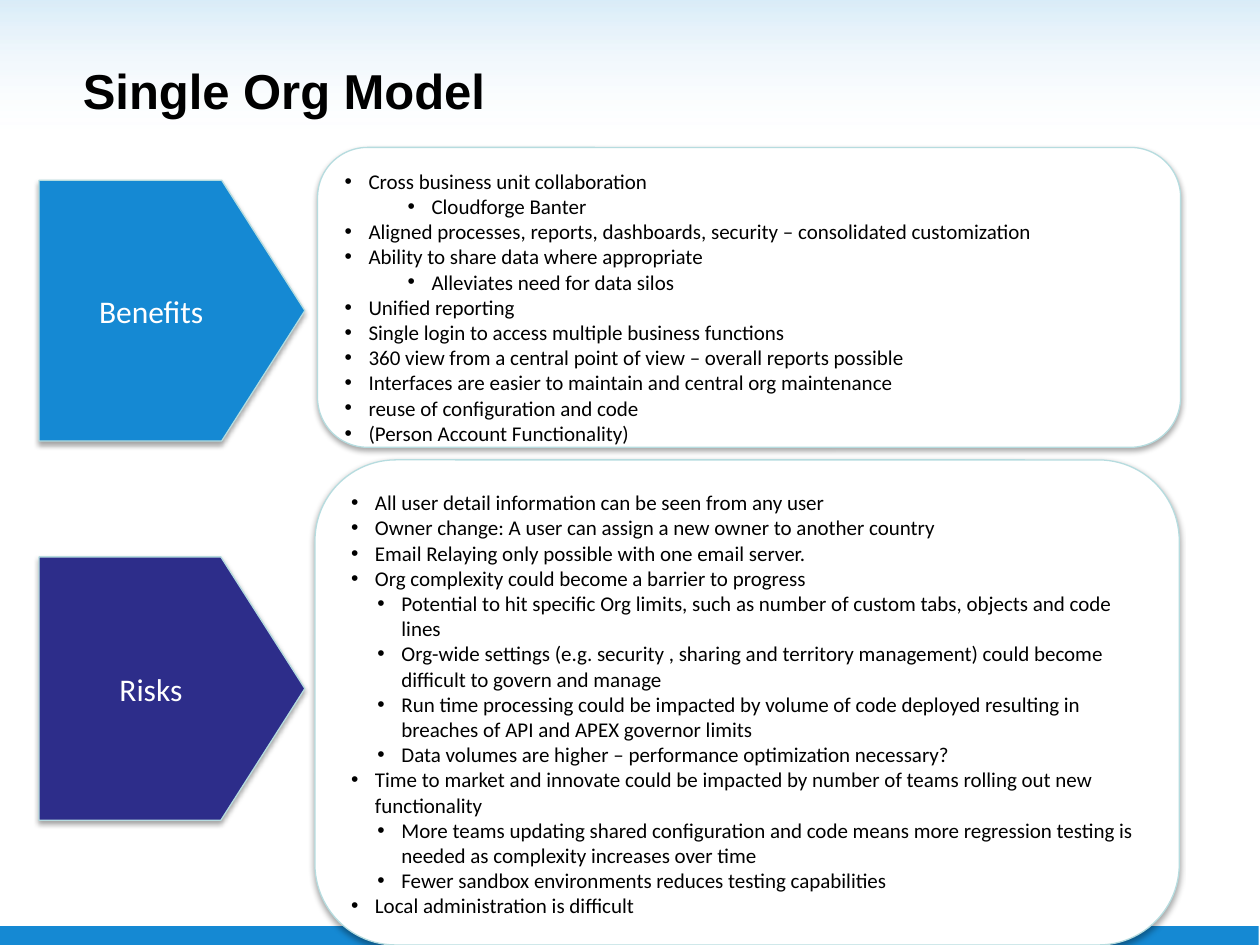
import pptx
import pptx.dml.color
import pptx.enum.shapes
import pptx.enum.text
import pptx.oxml.ns
import pptx.util
from lxml import etree

SHAPES = pptx.enum.shapes.MSO_SHAPE
ANCHOR = pptx.enum.text.MSO_ANCHOR
ALIGN = pptx.enum.text.PP_ALIGN
qn = pptx.oxml.ns.qn

SLIDE_WIDTH = pptx.util.Inches(10)
SLIDE_HEIGHT = pptx.util.Inches(7.5)

BLUE, NAVY, PALE_TEAL = "1589D3", "2D2D8A", "B6DCDF"
WHITE, BLACK = "FFFFFF", "000000"
HANGING = 0.19  # inches between bullet and text

# Each point is (level, wording)
BENEFITS = [
    (0, "Cross business unit collaboration"),
    (1, "Cloudforge Banter"),
    (0, "Aligned processes, reports, dashboards, security – consolidated customization"),
    (0, "Ability to share data where appropriate"),
    (1, "Alleviates need for data silos"),
    (0, "Unified reporting"),
    (0, "Single login to access multiple business functions"),
    (0, "360 view from a central point of view – overall reports possible"),
    (0, "Interfaces are easier to maintain and central org maintenance"),
    (0, "reuse of configuration and code"),
    (0, "(Person Account Functionality)"),
]
RISKS = [
    (0, "All user detail information can be seen from any user"),
    (0, "Owner change: A user can assign a new owner to another country"),
    (0, "Email Relaying only possible with one email server."),
    (0, "Org complexity could become a barrier to progress"),
    (1, "Potential to hit specific Org limits, such as number of custom tabs, "
        "objects and code lines"),
    (1, "Org-wide settings (e.g. security , sharing and territory management) "
        "could become difficult to govern and manage"),
    (1, "Run time processing could be impacted by volume of code deployed "
        "resulting in breaches of API and APEX governor limits"),
    (1, "Data volumes are higher – performance optimization necessary?"),
    (0, "Time to market and innovate could be impacted by number of teams "
        "rolling out new functionality"),
    (1, "More teams updating shared configuration and code means more "
        "regression testing is needed as complexity increases over time"),
    (1, "Fewer sandbox environments reduces testing capabilities"),
    (0, "Local administration is difficult"),
]


def color(hex_string):
    return pptx.dml.color.RGBColor.from_string(hex_string)


def area(left, top, width, height):
    """Turn percentages of the slide's size into lengths."""
    return [round(share * size / 100) for share, size in (
        (left, SLIDE_WIDTH), (top, SLIDE_HEIGHT),
        (width, SLIDE_WIDTH), (height, SLIDE_HEIGHT))]


def style_font(paragraph, name, size, hex_string, bold=False):
    font = paragraph.font
    font.name, font.size, font.bold = name, pptx.util.Pt(size), bold
    font.color.rgb = color(hex_string)


def add_bullet(paragraph, indent):
    properties = paragraph._p.get_or_add_pPr()
    properties.set("marL", str(pptx.util.Inches(indent)))
    properties.set("indent", str(-pptx.util.Inches(HANGING)))
    etree.SubElement(properties, qn("a:buFont")).set("typeface", "Arial")
    etree.SubElement(properties, qn("a:buChar")).set("char", "•")


def add_soft_shadow(shape):
    effects = shape._element.spPr.find(qn("a:effectLst"))
    shadow = etree.SubElement(
        effects, qn("a:outerShdw"), blurRad=str(pptx.util.Pt(3.1)),
        dist=str(pptx.util.Pt(1.8)), dir="5400000", rotWithShape="0")
    shade = etree.SubElement(shadow, qn("a:srgbClr"), val=BLACK)
    etree.SubElement(shade, qn("a:alpha"), val="35000")


def add_plain_shape(slide, kind, place):
    shape = slide.shapes.add_shape(kind, *area(*place))
    shape.shadow.inherit = False
    shape.line.fill.background()
    return shape


def add_raised_shape(slide, kind, place, fill):
    shape = add_plain_shape(slide, kind, place)
    shape.fill.solid()
    shape.fill.fore_color.rgb = color(fill)
    shape.line.color.rgb = color(PALE_TEAL)
    shape.line.width = pptx.util.Pt(0.75)
    add_soft_shadow(shape)
    shape.text_frame.word_wrap = True
    return shape


def add_background(slide):
    footer = add_plain_shape(slide, SHAPES.RECTANGLE, (-0.1, 98, 100, 2.4))
    footer.fill.solid()
    footer.fill.fore_color.rgb = color(BLUE)

    # Blue haze that fades out downwards
    haze = add_plain_shape(slide, SHAPES.RECTANGLE, (0, 0, 100, 20.93))
    haze.fill.gradient()
    haze.fill.gradient_angle = 270
    fade = ((0, BLUE, 16), (0.73, WHITE, 0))
    for stop, (position, tint, opacity) in zip(haze.fill.gradient_stops, fade):
        stop.position = position
        stop.color.rgb = color(tint)
        tint_element = stop._gs.find(qn("a:srgbClr"))
        etree.SubElement(tint_element, qn("a:alpha"), val=str(opacity * 1000))


def add_title(slide, wording):
    title = slide.shapes.add_textbox(*area(5.6, 3.73, 90, 11.6))
    frame = title.text_frame
    frame.word_wrap = True
    frame.vertical_anchor = ANCHOR.MIDDLE
    frame.text = wording
    style_font(frame.paragraphs[0], "Arial", 28, BLACK, bold=True)


def add_label(slide, wording, top, height, fill):
    label = add_raised_shape(slide, SHAPES.PENTAGON, (3.1, top, 21.1, height), fill)
    label.adjustments[0] = 0.319
    frame = label.text_frame
    frame.vertical_anchor = ANCHOR.MIDDLE
    frame.text = wording
    frame.paragraphs[0].alignment = ALIGN.CENTER
    style_font(frame.paragraphs[0], "Calibri", 18, WHITE)


def add_panel(slide, points, place, sub_indent):
    panel = add_raised_shape(slide, SHAPES.ROUNDED_RECTANGLE, place, WHITE)
    frame = panel.text_frame
    frame.vertical_anchor = ANCHOR.TOP
    for number, (level, wording) in enumerate(points):
        point = frame.add_paragraph() if number else frame.paragraphs[0]
        point.text = wording
        point.level = level
        point.alignment = ALIGN.LEFT
        add_bullet(point, sub_indent if level else HANGING)
        style_font(point, "Calibri", 12, BLACK)


def main():
    deck = pptx.Presentation()
    deck.slide_width, deck.slide_height = SLIDE_WIDTH, SLIDE_HEIGHT
    slide = deck.slides.add_slide(deck.slide_layouts[6])

    add_background(slide)
    add_title(slide, "Single Org Model")

    # Benefits
    add_label(slide, "Benefits", 19.07, 27.6, BLUE)
    add_panel(slide, BENEFITS, (25.2, 15.6, 68.5, 31.73), sub_indent=0.69)

    # Risks
    add_label(slide, "Risks", 58.93, 27.87, NAVY)
    add_panel(slide, RISKS, (25, 48.67, 68.6, 51.33), sub_indent=0.4)

    deck.save("out.pptx")


if __name__ == "__main__":
    main()
